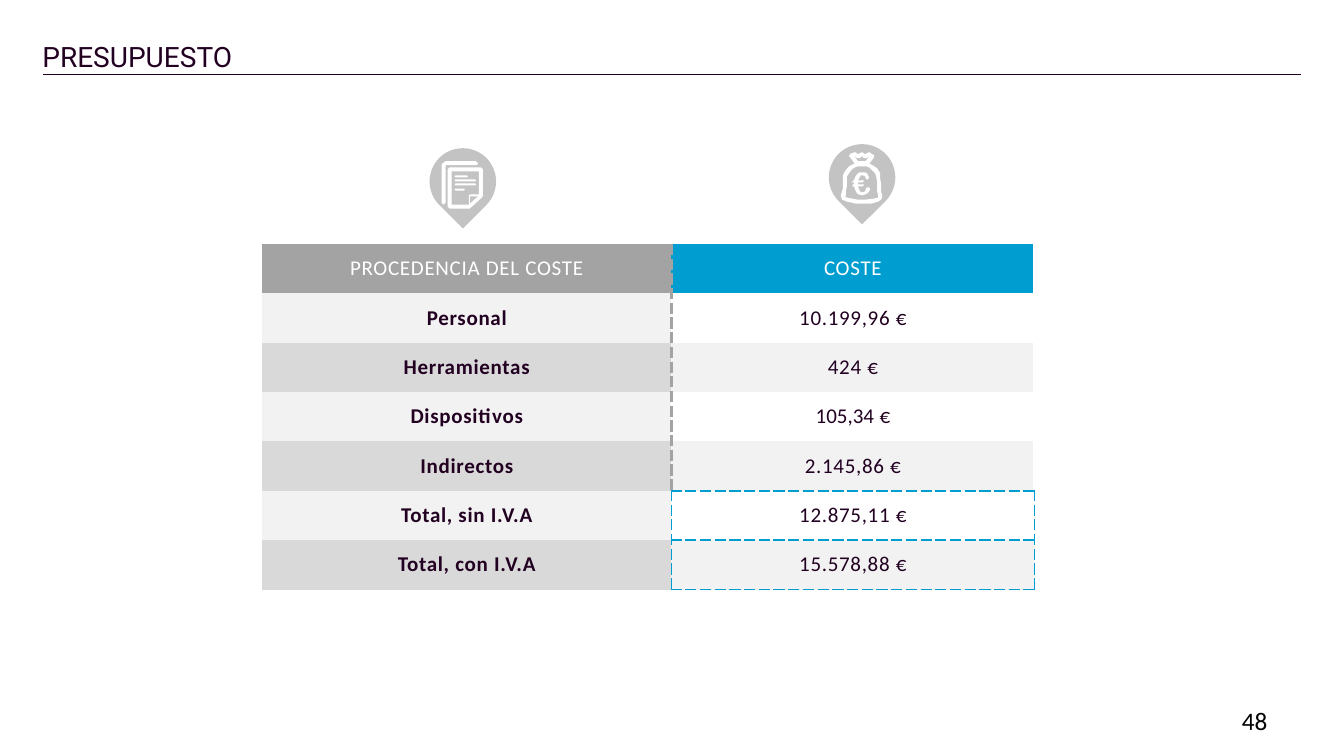
"""Build the budget slide with a cost table and two icon pins."""
import pptx
import pptx.util
import pptx.dml.color
import pptx.enum.shapes
import pptx.enum.text
import pptx.oxml
import pptx.oxml.ns
from lxml import etree

Inches, Pt = pptx.util.Inches, pptx.util.Pt
RGB = pptx.dml.color.RGBColor.from_string
SHAPE = pptx.enum.shapes.MSO_SHAPE
ALIGN = pptx.enum.text.PP_ALIGN
ANCHOR = pptx.enum.text.MSO_ANCHOR
qn = pptx.oxml.ns.qn
C = {"ink": "220021", "pin": "C3C3C3", "grey": "A3A3A3", "blue": "009DD1",
     "light": "F2F2F2", "mid": "D9D9D9", "white": "FFFFFF", "black": "000000"}


def paint(sp, color):
    sp.shadow.inherit = False
    sp.fill.solid()
    sp.fill.fore_color.rgb = RGB(C[color])
    sp.line.fill.background()


def style(p, name, size, color, align, bold=False):
    p.alignment = align
    p.font.name, p.font.size, p.font.bold = name, Pt(size), bold
    p.font.color.rgb = RGB(C[color])


prs = pptx.Presentation()
prs.slide_width, prs.slide_height = Inches(13.33), Inches(7.5)
s = prs.slides.add_slide(prs.slide_layouts[5])

for x, y in [(4.26, 1.47), (8.22, 1.43)]:
    pin = s.shapes.add_shape(SHAPE.TEAR, Inches(x), Inches(y), Inches(0.66), Inches(0.66))
    pin.adjustments[0] = 1
    pin.rotation = 135
    paint(pin, "pin")

title = s.shapes.title
title.left, title.top, title.width, title.height = map(Inches, (0.32, 0.37, 12.69, 0.29))
tf = title.text_frame
tf.auto_size = pptx.enum.text.MSO_AUTO_SIZE.NONE
tf.vertical_anchor = ANCHOR.TOP
tf.margin_top, tf.margin_bottom = Inches(0.07), 0
tf.text = "PRESUPUESTO"
tf.paragraphs[0].line_spacing = 0.85
style(tf.paragraphs[0], "Roboto", 20, "ink", ALIGN.LEFT)

rule = s.shapes.add_connector(pptx.enum.shapes.MSO_CONNECTOR.STRAIGHT,
                              Inches(0.43), Inches(0.74), Inches(12.9), Inches(0.74))
rule.line.color.rgb = RGB(C["ink"])
rule.line.width = Pt(1.25)
etree.SubElement(rule._element.spPr, qn("a:effectLst"))

rows = [
    ("PROCEDENCIA DEL COSTE", ["COSTE"]),
    ("Personal", ["10.199,96 €"]),
    ("Herramientas", ["424 €"]),
    ("Dispositivos", ["105,34", " €"]),
    ("Indirectos", ["2.145,86 €"]),
    ("Total, sin I.V.A", ["12.875,11 €"]),
    ("Total, con I.V.A", ["15.578,88 €"]),
]
divider, edge, total = ("grey", 2.25, "sysDash"), ("white", 3, "solid"), ("blue", 1.5, "dash")
table = s.shapes.add_table(len(rows), 2, Inches(2.6), Inches(2.42),
                           Inches(7.66), Inches(3.43)).table
table.first_row = table.horz_banding = False
table._tbl.tblPr.find(qn("a:tableStyleId")).text = "{2D5ABB26-0587-4C30-8999-92F81FD0307C}"
table.columns[0].width, table.columns[1].width = Inches(4.06), Inches(3.6)
for i, (source, cost) in enumerate(rows):
    table.rows[i].height = Inches(0.49)
    for j, texts in enumerate([[source], cost]):
        cell = table.cell(i, j)
        cell.vertical_anchor = ANCHOR.MIDDLE
        p = cell.text_frame.paragraphs[0]
        for text in texts:
            r = p.add_run()
            r.text = text
            r._r.get_or_add_rPr().set("spc", "0" if text == "105,34" else "50")
        style(p, "Calibri", 15, "ink" if i else "white", ALIGN.CENTER, bold=i > 0 and j == 0)

        if j == 0:
            borders = {"R": total if i > 4 else divider}
        elif i > 4:
            borders = dict.fromkeys("LRTB", total)
        else:
            borders = {"L": divider, "R": edge}
            if i == 4:
                borders["B"] = total
        for side, (color, width, dash) in borders.items():
            ln = etree.SubElement(cell._tc.get_or_add_tcPr(), qn(f"a:ln{side}"), w=str(Pt(width)))
            fill = etree.SubElement(ln, qn("a:solidFill"))
            etree.SubElement(fill, qn("a:srgbClr"), val=C[color])
            etree.SubElement(ln, qn("a:prstDash"), val=dash)

        if i == 0:
            fill_color = ("grey", "blue")[j]
        else:
            fill_color = (("light", None), ("mid", "light"))[(i - 1) % 2][j]
        if fill_color:
            cell.fill.solid()
            cell.fill.fore_color.rgb = RGB(C[fill_color])
        else:
            cell.fill.background()

bag_tie = [
    [(848, 155), (848, 156), (851, 160), (858, 160), (862, 156), (862, 155), (860, 157),
     (857, 157), (855, 155), (853, 157), (850, 157)],
    [(848, 151), (851, 153), (855, 151), (858, 153), (862, 151), (865, 153), (867, 154),
     (867, 156), (861, 164), (859, 164), (851, 164), (849, 164), (843, 156), (842, 155),
     (843, 153), (845, 152)],
]
bag_body = [
    [(851, 165), (848, 166), (845, 168), (842, 172), (840, 175), (840, 184), (839, 190),
     (839, 194), (838, 195), (840, 196), (845, 197), (850, 198), (859, 198), (867, 197),
     (871, 196), (871, 194), (870, 190), (870, 181), (869, 175), (868, 172), (864, 168),
     (862, 166), (859, 165)],
    [(850, 160), (859, 160), (862, 162), (867, 165), (870, 167), (873, 172), (873, 178),
     (874, 182), (874, 191), (875, 193), (875, 196), (874, 198), (871, 200), (864, 202),
     (849, 202), (840, 200), (835, 198), (834, 194), (835, 190), (836, 187), (836, 174),
     (838, 170), (842, 165), (848, 162)],
]
euro = [
    [(855, 171), (858, 171), (860, 172), (862, 176), (861, 178), (859, 178), (858, 175),
     (856, 174), (854, 174), (852, 177), (851, 179), (857, 179), (856, 181), (851, 181),
     (851, 183), (857, 183), (856, 185), (851, 185), (852, 188), (853, 190), (855, 191),
     (858, 190), (859, 187), (860, 186), (862, 186), (863, 188), (862, 190), (860, 192),
     (858, 193), (855, 194), (852, 193), (850, 192), (848, 188), (847, 185), (845, 185),
     (846, 183), (847, 183), (847, 181), (845, 181), (846, 179), (847, 179), (848, 176),
     (850, 173), (852, 171)],
]
page_fold = [
    [(466, 193), (477, 193), (478, 194), (477, 195), (466, 195), (466, 206), (465, 206),
     (465, 194)],
]
page_front = [
    [(448, 170), (448, 203), (465, 203), (475, 194), (475, 170)],
    [(446, 166), (477, 166), (479, 168), (479, 194), (478, 196), (467, 206), (466, 207),
     (446, 207), (444, 205), (444, 168)],
]
page_back = [
    [(442, 160), (472, 160), (474, 162), (474, 163), (472, 164), (442, 164), (442, 201),
     (440, 203), (438, 201), (438, 164), (439, 162)],
]
for icon in [(bag_tie, bag_body, euro), (page_fold, page_front, page_back)]:
    group = s.shapes.add_group_shape()
    for outline in icon:
        fb = group.shapes.build_freeform(*outline[0][0], scale=Inches(0.01))
        fb.add_line_segments(outline[0][1:])
        for contour in outline[1:]:
            fb.move_to(*contour[0])
            fb.add_line_segments(contour[1:])
        paint(fb.convert_to_shape(), "white")

for y, width in [(1.74, 0.13), (1.78, 0.21), (1.82, 0.21), (1.87, 0.1)]:
    text_line = group.shapes.add_shape(SHAPE.ROUNDED_RECTANGLE, Inches(4.51), Inches(y),
                                       Inches(width), Inches(0.02))
    text_line.adjustments[0] = 0.5
    paint(text_line, "white")

tf = s.shapes.add_textbox(Inches(9.56), Inches(6.95), Inches(3.11), Inches(0.4)).text_frame
tf.word_wrap = True
tf.vertical_anchor = ANCHOR.MIDDLE
tf.text = "48"
style(tf.paragraphs[0], "Calibri", 18, "black", ALIGN.RIGHT)

prs.save("out.pptx")
